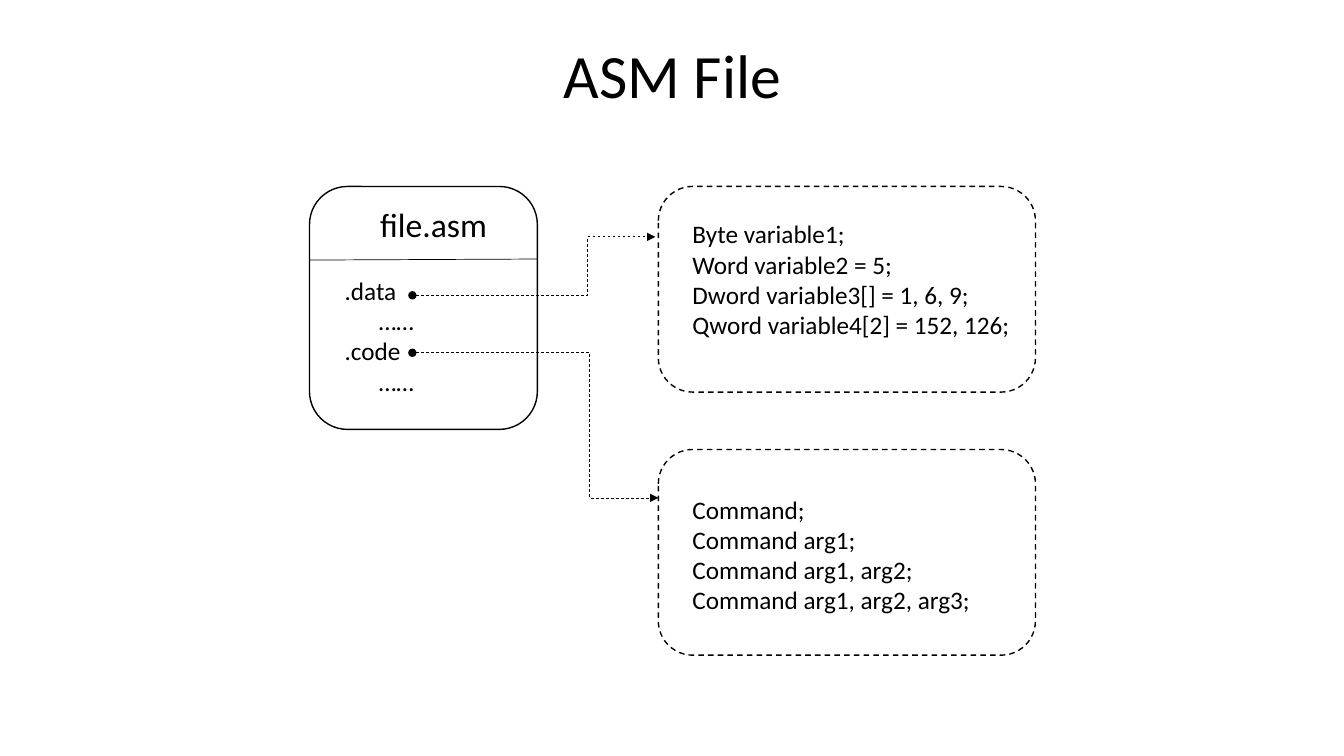
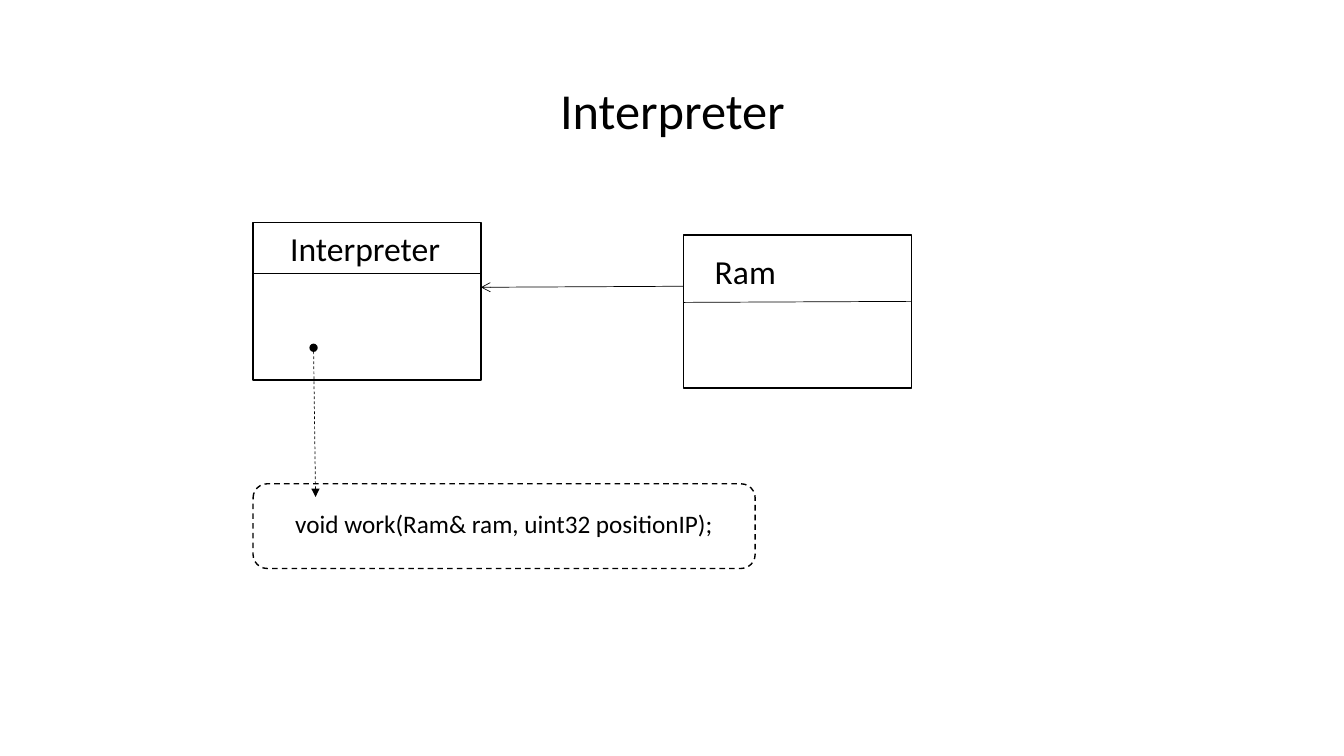
from pptx import Presentation
from pptx.dml.color import RGBColor
from pptx.enum import dml, shapes, text
from pptx.oxml.ns import qn
from pptx.util import Inches, Pt
from lxml import etree

BLACK = RGBColor(0, 0, 0)
WHITE = RGBColor(255, 255, 255)
FONT = "Calibri"
TITLE_ONLY = 5
NAME_SIZE, CODE_SIZE = 24, 18
CARD_WIDTH = 2.26
RECTANGLE = shapes.MSO_SHAPE.RECTANGLE
ROUNDED = shapes.MSO_SHAPE.ROUNDED_RECTANGLE


def format_paragraph(paragraph, size, alignment):
    paragraph.alignment = alignment
    paragraph.font.name = FONT
    paragraph.font.size = Pt(size)
    paragraph.font.color.rgb = BLACK


def format_line(line, width, dashed):
    line.color.rgb = BLACK
    line.width = Pt(width)
    if dashed:
        line.dash_style = dml.MSO_LINE.DASH


def add_titled_slide(presentation, title, size, anchor=text.MSO_ANCHOR.MIDDLE):
    slide = presentation.slides.add_slide(presentation.slide_layouts[TITLE_ONLY])
    shape = slide.shapes.title
    shape.left, shape.top = Inches(0.92), Inches(0.4)
    shape.width, shape.height = Inches(11.5), Inches(1.45)
    frame = shape.text_frame
    frame.text = title
    frame.auto_size = text.MSO_AUTO_SIZE.NONE
    frame.vertical_anchor = anchor
    paragraph = frame.paragraphs[0]
    paragraph.line_spacing = 0.9
    format_paragraph(paragraph, size, text.PP_ALIGN.CENTER)
    return slide


def add_box(slide, left, top, width, height, preset=ROUNDED, dashed=False):
    box = slide.shapes.add_shape(
        preset, Inches(left), Inches(top), Inches(width), Inches(height))
    box.shadow.inherit = False
    box.fill.solid()
    box.fill.fore_color.rgb = WHITE
    format_line(box.line, 1, dashed)


def add_text(slide, left, top, width, height, lines, size=CODE_SIZE,
             alignment=text.PP_ALIGN.LEFT, indented=()):
    """Write one paragraph per line; indented lists the indexes to shift right."""
    frame = slide.shapes.add_textbox(
        Inches(left), Inches(top), Inches(width), Inches(height)).text_frame
    frame.word_wrap = True
    frame.text = "\n".join(lines)
    for index, paragraph in enumerate(frame.paragraphs):
        format_paragraph(paragraph, size, alignment)
        if index in indented:
            paragraph._p.get_or_add_pPr().set("marL", str(Inches(0.34)))


def add_line(slide, start, end, head=None, tail=None, dashed=False, bend=None):
    """Join two points; bend is the share of the width before an elbow turns."""
    kind = shapes.MSO_CONNECTOR.ELBOW if bend else shapes.MSO_CONNECTOR.STRAIGHT
    connector = slide.shapes.add_connector(
        kind, *(Inches(value) for value in (*start, *end)))
    format_line(connector.line, 0.5, dashed)
    properties = connector._element.spPr
    line = properties.find(qn("a:ln"))
    for tag, arrowhead in (("a:headEnd", head), ("a:tailEnd", tail)):
        if arrowhead:
            etree.SubElement(line, qn(tag), type=arrowhead)
    etree.SubElement(properties, qn("a:effectLst"))
    if bend:
        geometry = properties.find(qn("a:prstGeom"))
        adjustments = geometry.find(qn("a:avLst"))
        if adjustments is None:
            adjustments = etree.SubElement(geometry, qn("a:avLst"))
        etree.SubElement(adjustments, qn("a:gd"), name="adj1",
                         fmla=f"val {round(bend * 100000)}")


def add_callout_line(slide, start, end, bend=None):
    add_line(slide, start, end, "oval", "triangle", dashed=True, bend=bend)


def add_card(slide, left, top, height, divider, preset=RECTANGLE):
    """Draw a box split by a line, which runs between two given heights."""
    add_box(slide, left, top, CARD_WIDTH, height, preset)
    add_line(slide, (left, divider[0]), (left + CARD_WIDTH, divider[1]))


def build_asm_file(presentation):
    slide = add_titled_slide(presentation, "ASM File", 44, text.MSO_ANCHOR.TOP)
    add_card(slide, 3.07, 1.85, 2.41, (2.58, 2.57), ROUNDED)
    add_text(slide, 3.27, 1.97, 2.06, 0.5, ["file.asm"], NAME_SIZE,
             text.PP_ALIGN.CENTER)
    add_text(slide, 3.32, 2.68, 1.2, 1.31, [".data", "……", ".code", "……"],
             indented=(1, 3))

    sections = (
        (1.85, 2.12, (2.93, 2.35), 6.5,
         ["Byte variable1;", "Word variable2 = 5;",
          "Dword variable3[] = 1, 6, 9;", "Qword variable4[2] = 152, 126;"]),
        (4.46, 4.85, (3.5, 4.94), 6.53,
         ["Command;", "Command arg1;", "Command arg1, arg2;",
          "Command arg1, arg2, arg3;"]),
    )
    for box_top, text_top, (start_y, end_y), end_x, lines in sections:
        add_box(slide, 6.53, box_top, 3.74, 2.04, dashed=True)
        add_callout_line(slide, (4.09, start_y), (end_x, end_y), bend=0.72)
        add_text(slide, 6.77, text_top, 3.5, 1.31, lines)


def build_interpreter(presentation):
    slide = add_titled_slide(presentation, "Interpreter", 36)
    add_card(slide, 2.51, 2.21, 1.56, (2.71, 2.71))
    add_text(slide, 2.78, 2.21, 1.9, 0.5, ["Interpreter"], NAME_SIZE)
    add_card(slide, 6.78, 2.33, 1.52, (3, 2.99))
    add_text(slide, 6.99, 2.44, 2.06, 0.5, ["Ram"], NAME_SIZE)
    add_line(slide, (6.78, 2.84), (4.77, 2.85), tail="arrow")
    add_box(slide, 2.51, 4.8, 4.98, 0.84, dashed=True)
    add_callout_line(slide, (3.11, 3.45), (3.13, 4.93))
    add_text(slide, 2.83, 4.99, 4.6, 0.4,
             ["void work(Ram& ram, uint32 positionIP);"])


def main():
    presentation = Presentation()
    presentation.slide_width = Inches(13.33)
    presentation.slide_height = Inches(7.5)
    build_asm_file(presentation)
    build_interpreter(presentation)
    presentation.save("out.pptx")


if __name__ == "__main__":
    main()
